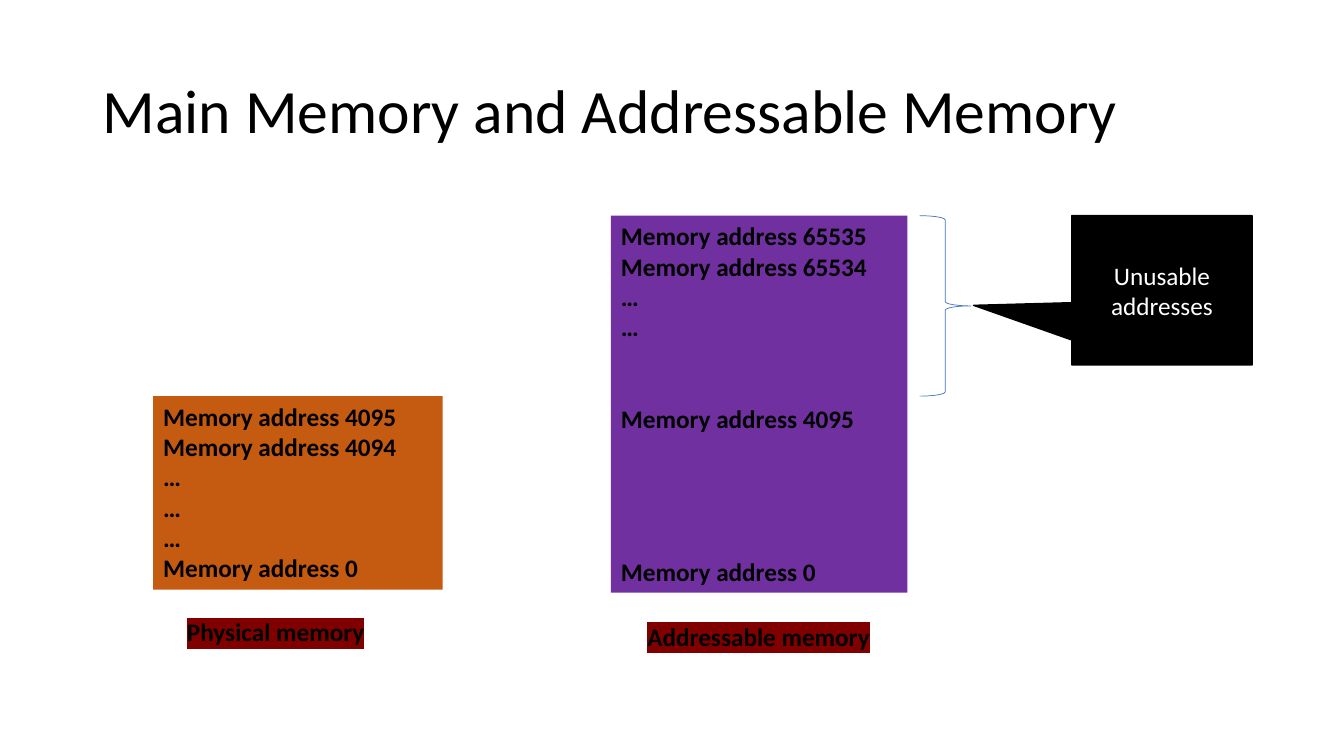
from dataclasses import dataclass
from lxml.etree import SubElement
from pptx import Presentation
from pptx.dml.color import RGBColor
from pptx.enum.shapes import MSO_SHAPE
from pptx.enum.text import MSO_ANCHOR, PP_ALIGN
from pptx.oxml.ns import qn
from pptx.util import Inches, Pt


@dataclass(frozen=True)
class Theme:
    font: str = "Calibri"
    ink: str = "000000"
    paper: str = "FFFFFF"
    brace: str = "4472C4"
    mark: str = "800000"
    head: int = 44
    body: int = 18
    row: int = 22


THEME = Theme()
TITLE = "Main Memory and Addressable Memory"
CALLOUT = "Unusable addresses"

# Places are left, top, width, height in percent of the slide.
TITLE_AT = (6.9, 5.33, 86.25, 19.33)
TOP = 28.53
CALL_AT = (79.74, TOP, 13.43, 19.73)
TIP = (-1.044, 0.101)

# Each line is its text and the number of free rows above it.
BLOCKS = [
    {
        "at": (11.4, 52.4, 21.53, 25.6),
        "fill": "C55A11",
        "lines": [("Memory address 4095", 0), ("Memory address 4094", 0),
                  ("…", 0), ("…", 0), ("…", 0), ("Memory address 0", 0)],
        "name": "Physical memory",
        "name_at": (12.45, 80.93, 16.13, 5.33),
    },
    {
        "at": (45.46, TOP, 22.05, 49.87),
        "fill": "7030A0",
        "lines": [("Memory address 65535", 0), ("Memory address 65534", 0),
                  ("…", 0), ("…", 0), ("Memory address 4095", 2),
                  ("Memory address 0", 4)],
        "name": "Addressable memory",
        "name_at": (47.26, 81.47, 18.38, 5.33),
    },
]
# The brace spans the addresses above the top of physical memory.
BRACE_AT = (68.42, TOP, 3.82, BLOCKS[0]["at"][1] - TOP)

deck = Presentation()
deck.slide_width, deck.slide_height = Inches(13.33), Inches(7.5)
slide = deck.slides.add_slide(deck.slide_layouts[6])


def place(at):
    sides = (deck.slide_width, deck.slide_height) * 2
    return [round(side * part / 100) for side, part in zip(sides, at)]


def color(code):
    return RGBColor.from_string(code)


def shape(kind, at, fill=None, line=None, width=1):
    item = slide.shapes.add_shape(kind, *place(at))
    item.shadow.inherit = False
    if fill:
        item.fill.solid()
        item.fill.fore_color.rgb = color(fill)
    else:
        item.fill.background()
    if line:
        item.line.color.rgb = color(line)
        item.line.width = Pt(width)
    else:
        item.line.fill.background()
    return item


def write(item, lines, size=THEME.body, ink=THEME.ink, bold=False,
          align=PP_ALIGN.LEFT, anchor=MSO_ANCHOR.TOP, mark=None, space=None):
    frame = item.text_frame
    frame.word_wrap = True
    frame.vertical_anchor = anchor
    for i, (text, gap) in enumerate(lines):
        para = frame.add_paragraph() if i else frame.paragraphs[0]
        para.alignment = align
        para.line_spacing = space
        if gap:
            para.space_before = Pt(gap * THEME.row)
        run = para.add_run()
        run.text = text
        font = run.font
        font.name, font.size, font.bold = THEME.font, Pt(size), bold
        font.color.rgb = color(ink)
        if mark:
            props = run._r.get_or_add_rPr()
            light = SubElement(props, qn("a:highlight"))
            SubElement(light, qn("a:srgbClr"), val=mark)
            props.find(qn("a:solidFill")).addnext(light)


def label(at, text, **style):
    write(slide.shapes.add_textbox(*place(at)), [(text, 0)], **style)


label(TITLE_AT, TITLE, size=THEME.head, anchor=MSO_ANCHOR.MIDDLE, space=0.9)
for block in BLOCKS:
    box = shape(MSO_SHAPE.RECTANGLE, block["at"], block["fill"])
    write(box, block["lines"], bold=True)
    label(block["name_at"], block["name"], bold=True,
          align=PP_ALIGN.CENTER, mark=THEME.mark)

shape(MSO_SHAPE.RIGHT_BRACE, BRACE_AT, line=THEME.brace, width=0.5)
call = shape(MSO_SHAPE.RECTANGULAR_CALLOUT, CALL_AT, THEME.ink, THEME.ink)
call.adjustments[0], call.adjustments[1] = TIP
write(call, [(CALLOUT, 0)], ink=THEME.paper,
      align=PP_ALIGN.CENTER, anchor=MSO_ANCHOR.MIDDLE)

deck.save("out.pptx")
